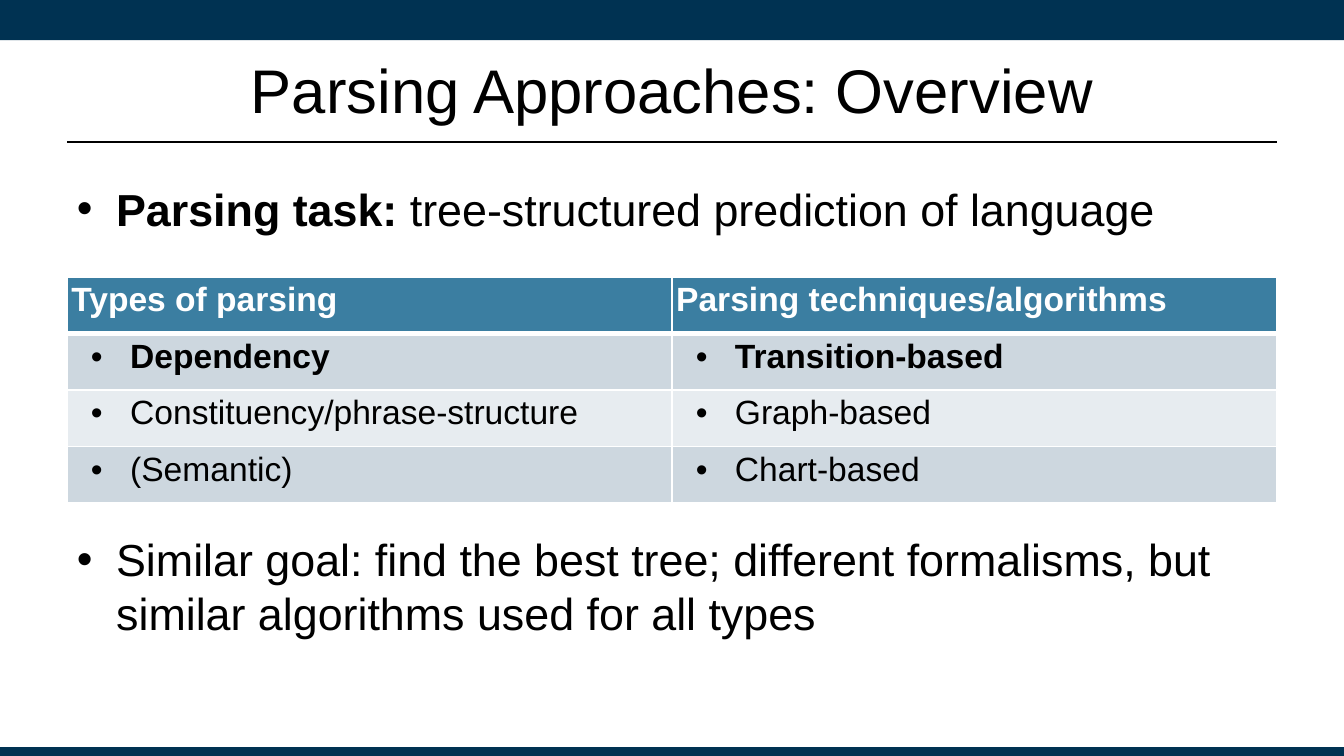
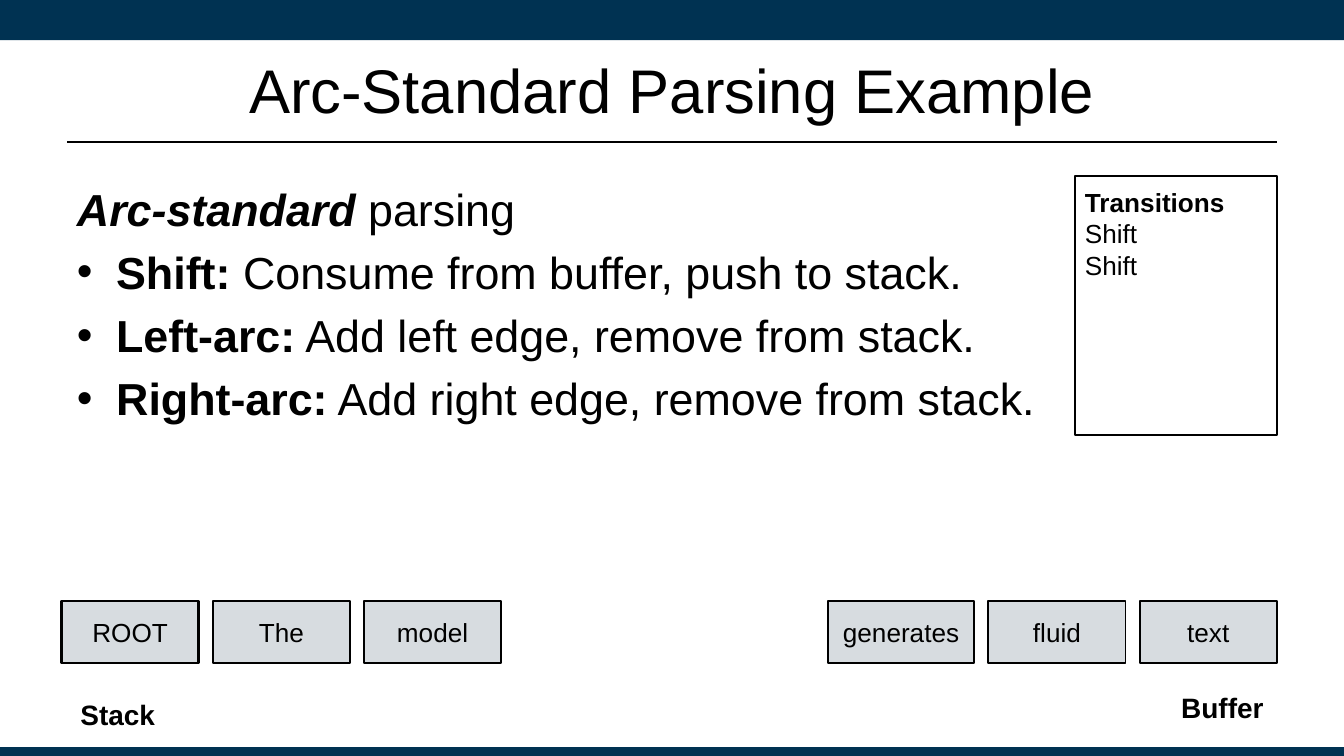
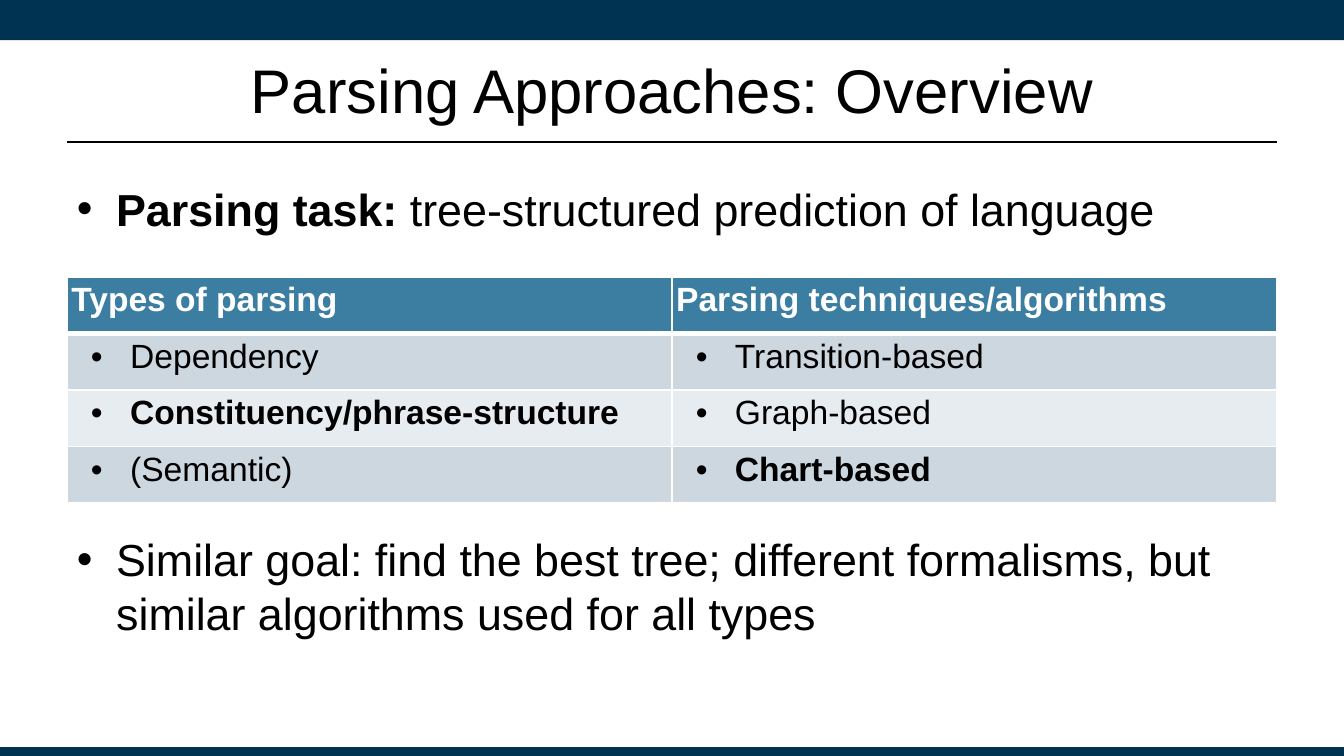
"""Build three slides on parsing approaches."""
from collections import namedtuple

from lxml import etree
from pptx import Presentation
from pptx.dml.color import RGBColor
from pptx.enum import shapes, text
from pptx.oxml import ns
from pptx.util import Pt

COLORS = {
    "band": "003252", "ink": "000000", "paper": "FFFFFF", "header": "3B7EA1",
    "odd": "CDD7DF", "even": "E7ECF0", "word": "D7DCE0",
}
FONT = "Arial"
Box = namedtuple("Box", "x y w h")
SLIDE = Box(0, 0, 720, 405)
CONTENT = Box(36, 94.5, 648, 267)
BODY_INSETS = (5.25, 2.75)
WORD_INSETS = (7.2, 7.2)
LEFT, CENTER, RIGHT = text.PP_ALIGN.LEFT, text.PP_ALIGN.CENTER, text.PP_ALIGN.RIGHT
TOP, MIDDLE = text.MSO_ANCHOR.TOP, text.MSO_ANCHOR.MIDDLE

OVERVIEW_ROWS = [
    ("Dependency", "Transition-based"),
    ("Constituency/phrase-structure", "Graph-based"),
    ("(Semantic)", "Chart-based"),
]
TRANSITION_RULES = [
    ("Shift:", " Consume from buffer, push to stack."),
    ("Left-arc:", " Add left edge, remove from stack."),
    ("Right-arc:", " Add right edge, remove from stack."),
]


def rgb(name):
    """Return the named palette colour."""
    return RGBColor.from_string(COLORS[name])


def pts(box):
    """Return the four lengths of a box in points."""
    return [Pt(v) for v in box]


def add_child(parent, tag, **attrs):
    """Append a DrawingML element to the parent."""
    return etree.SubElement(parent, ns.qn("a:" + tag), attrs)


def set_bullet(p, indent=21):
    """Give a paragraph a round bullet and a hanging indent."""
    pPr = p._p.get_or_add_pPr()
    pPr.set("marL", str(Pt(indent)))
    pPr.set("indent", str(-Pt(21)))
    add_child(add_child(pPr, "buClr"), "srgbClr", val=COLORS["ink"])
    add_child(pPr, "buFont", typeface=FONT)
    add_child(pPr, "buChar", char="•")


def write(p, runs, size, color="ink", align=LEFT):
    """Fill a paragraph with (text, style) runs, where b is bold and i italic."""
    p.alignment = align
    for words, style in runs:
        r = p.add_run()
        r.text = words
        r.font.name, r.font.size = FONT, Pt(size)
        r.font.color.rgb = rgb(color)
        r.font.bold, r.font.italic = "b" in style, "i" in style


def set_frame(tf, insets, anchor=TOP):
    """Set wrapping, insets and anchor of a text frame."""
    tf.word_wrap = True
    tf.margin_left = tf.margin_right = Pt(insets[0])
    tf.margin_top = tf.margin_bottom = Pt(insets[1])
    tf.vertical_anchor = anchor


def add_text(s, box, runs, size, insets=BODY_INSETS, anchor=TOP, align=LEFT):
    """Add a one-paragraph text box and return its frame."""
    tf = s.shapes.add_textbox(*pts(box)).text_frame
    set_frame(tf, insets, anchor)
    write(tf.paragraphs[0], runs, size, align=align)
    return tf


def add_rect(s, box, fill=None, line=None):
    """Add a rectangle with an optional fill and line width."""
    sp = s.shapes.add_shape(shapes.MSO_SHAPE.RECTANGLE, *pts(box))
    sp.shadow.inherit = False
    if fill:
        sp.fill.solid()
        sp.fill.fore_color.rgb = rgb(fill)
    else:
        sp.fill.background()
    if line:
        sp.line.color.rgb = rgb("ink")
        sp.line.width = Pt(line)
    else:
        sp.line.fill.background()
    return sp


def add_base(prs, title):
    """Add a slide with the bands, the title and the rule below it."""
    s = prs.slides.add_slide(prs.slide_layouts[6])
    add_rect(s, Box(0, 0, SLIDE.w, 21.5), "band")
    add_rect(s, Box(0, 400.25, SLIDE.w, 4.75), "band")
    y = 76.25
    rule = s.shapes.add_connector(
        shapes.MSO_CONNECTOR.STRAIGHT,
        Pt(CONTENT.x), Pt(y), Pt(CONTENT.x + CONTENT.w), Pt(y))
    rule.line.color.rgb = rgb("ink")
    rule.line.width = Pt(1.25)
    add_child(rule._element.spPr, "effectLst")
    add_text(s, Box(CONTENT.x, 13.75, CONTENT.w, 67.5), [(title, "")], 33,
             anchor=MIDDLE, align=CENTER)
    return s


def set_cell(cell, words, fill, style="", color="ink", bottom=1):
    """Fill and border one table cell and return its paragraph."""
    set_frame(cell, (2.25, 2.25))
    p = cell.text_frame.paragraphs[0]
    write(p, [(words, style)], 18, color)
    tcPr = cell._tc.get_or_add_tcPr()
    for side, width in (("lnL", 1), ("lnR", 1), ("lnT", 1), ("lnB", bottom)):
        ln = add_child(tcPr, side, w=str(Pt(width)))
        add_child(add_child(ln, "solidFill"), "srgbClr", val=COLORS["paper"])
    cell.fill.solid()
    cell.fill.fore_color.rgb = rgb(fill)
    return p


def add_types_table(s, box, bold):
    """Add the table of parsing types and techniques, with some entries bold."""
    rows = len(OVERVIEW_ROWS) + 1
    table = s.shapes.add_table(rows, 2, *pts(box)).table
    for row in table.rows:
        row.height = Pt(box.h / rows)
    for c, head in enumerate(("Types of parsing", "Parsing techniques/algorithms")):
        set_cell(table.cell(0, c), head, "header", "b", "paper", bottom=3)
    for i, entries in enumerate(OVERVIEW_ROWS, 1):
        for c, entry in enumerate(entries):
            p = set_cell(table.cell(i, c), entry, "odd" if i % 2 else "even",
                         "b" if entry in bold else "")
            set_bullet(p, 31.5)


def overview_slide(prs, box, bold):
    """Add an overview slide that stresses the given table entries."""
    s = add_base(prs, "Parsing Approaches: Overview")
    task = [("Parsing task:", "b"), (" tree-structured prediction of language", "")]
    goal = [("Similar goal: find the best tree; different formalisms, "
             "but similar algorithms used for all types", "")]
    set_bullet(add_text(s, box, task, 24).paragraphs[0])
    add_types_table(s, Box(box.x, box.y + 54, box.w, 121), bold)
    goal_box = Box(box.x, box.y + 187.75, box.w, 73.5)
    set_bullet(add_text(s, goal_box, goal, 24).paragraphs[0])


def add_rules(s, box):
    """Add the list of arc-standard transitions."""
    tf = add_text(s, box, [("Arc-standard", "bi"), (" parsing", "")], 24)
    for name, action in TRANSITION_RULES:
        p = tf.add_paragraph()
        write(p, [(name, "b"), (action, "")], 24)
        p.space_before = Pt(5)
        set_bullet(p)


def add_history(s, box, steps):
    """Add the framed list of transitions taken so far."""
    tf = add_rect(s, box, line=1).text_frame
    set_frame(tf, (5.25, 5.25))
    write(tf.paragraphs[0], [("Transitions", "b")], 14)
    for step in steps:
        write(tf.add_paragraph(), [(step, "")], 14)


def add_words(s, x, y, words):
    """Add a row of word boxes, each given as text, width and line width."""
    for word, w, line in words:
        tf = add_rect(s, Box(x, y, w, 33.25), "word", line).text_frame
        set_frame(tf, WORD_INSETS, MIDDLE)
        write(tf.paragraphs[0], [(word, "")], 14, align=CENTER)
        x += w + 7.5


def example_slide(prs, box):
    """Add the arc-standard example with its stack and buffer."""
    s = add_base(prs, "Arc-Standard Parsing Example")
    right = box.x + box.w
    add_rules(s, box)
    add_history(s, Box(right - 108, box.y, 108, 138.75), ["Shift", "Shift"])
    words_y = box.y + 227.5
    add_words(s, box.x - 3, words_y,
              [("ROOT", 73.5, 1.5), ("The", 73.5, 1), ("model", 73.5, 1)])
    add_words(s, right - 240.5, words_y,
              [("generates", 78.5, 1), ("fluid", 73.5, 1), ("text", 73.5, 1)])
    add_text(s, Box(box.x, box.y + 272, 89.25, 28.75), [("Stack", "b")], 15,
             WORD_INSETS)
    add_text(s, Box(right - 89.25, box.y + 268.5, 89.25, 28.75),
             [("Buffer", "b")], 15, WORD_INSETS, align=RIGHT)


def main():
    """Build and save the presentation."""
    prs = Presentation()
    prs.slide_width, prs.slide_height = Pt(SLIDE.w), Pt(SLIDE.h)
    overview_slide(prs, CONTENT, {"Dependency", "Transition-based"})
    example_slide(prs, CONTENT)
    overview_slide(prs, CONTENT, {"Constituency/phrase-structure", "Chart-based"})
    prs.save("out.pptx")


if __name__ == "__main__":
    main()
